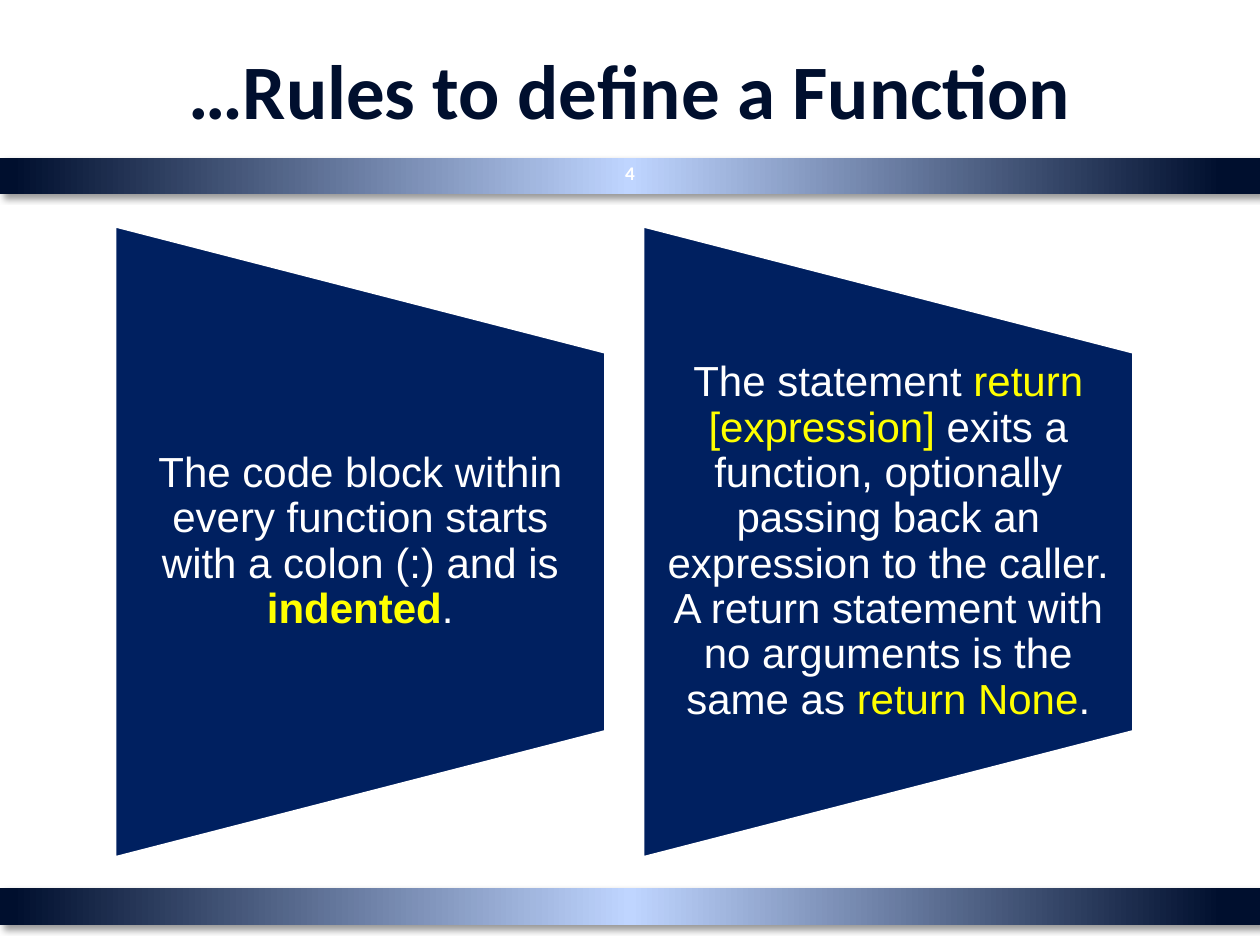
from lxml import etree
from pptx import Presentation
from pptx.dml.color import RGBColor
from pptx.enum.shapes import MSO_SHAPE as Shape
from pptx.enum.text import MSO_ANCHOR as Anchor, PP_ALIGN as Align
from pptx.oxml.ns import qn
from pptx.util import Pt

INK = RGBColor(0x00, 0x0F, 0x2E)
SKY = RGBColor(0xBF, 0xD5, 0xFF)
NAVY = RGBColor(0x00, 0x20, 0x60)
WHITE = RGBColor(0xFF, 0xFF, 0xFF)
YELLOW = RGBColor(0xFF, 0xFF, 0x00)
BLACK = RGBColor(0x00, 0x00, 0x00)


def write(frame, runs, font, size, color=WHITE, bold=False, inset=7.2,
          inset_v=3.6, line_spacing=None, space_after=None):
    """Fill a frame with one centred paragraph; runs are (text, format overrides)."""
    frame.word_wrap = True
    frame.vertical_anchor = Anchor.MIDDLE
    frame.margin_left = frame.margin_right = Pt(inset)
    frame.margin_top = frame.margin_bottom = Pt(inset_v)
    paragraph = frame.paragraphs[0]
    paragraph.alignment = Align.CENTER
    paragraph.line_spacing = line_spacing
    paragraph.space_after = space_after
    for text, changes in runs:
        run = paragraph.add_run()
        run.text = text
        run.font.name = font
        run.font.size = Pt(size)
        run.font.bold = changes.get("bold", bold)
        run.font.color.rgb = changes.get("color", color)


def add_color(parent, color, alpha=None):
    node = etree.SubElement(parent, qn("a:srgbClr"), val=str(color))
    if alpha is not None:
        etree.SubElement(node, qn("a:alpha"), val=str(alpha * 1000))


prs = Presentation()
prs.slide_width, prs.slide_height = Pt(720), Pt(540)
slide = prs.slides.add_slide(prs.slide_layouts[5])
shapes = slide.shapes

# Gradient bands under the title and at the foot
for top in (507.6, 90):
    band = shapes.add_shape(Shape.RECTANGLE, 0, Pt(top), Pt(720), Pt(20.9))
    band.line.fill.background()
    band.fill.gradient()
    band.fill.gradient_angle = 180
    stops = band.fill._fill._gradFill.find(qn("a:gsLst"))
    for stop in list(stops):
        stops.remove(stop)
    for percent, color in ((0, INK), (3, INK), (50, SKY), (99, INK), (100, INK)):
        add_color(etree.SubElement(stops, qn("a:gs"), pos=str(percent * 1000)), color)
    band.shadow.inherit = False
    effects = band._element.spPr.find(qn("a:effectLst"))
    shadow = etree.SubElement(effects, qn("a:outerShdw"), blurRad=str(Pt(4)),
                              dist=str(Pt(3)), dir=str(45 * 60000), rotWithShape="0")
    add_color(shadow, BLACK, alpha=40)

title = shapes.title
title.left, title.top, title.width, title.height = Pt(36), Pt(5.8), Pt(648), Pt(90)
write(title.text_frame, [("…Rules to define a Function", {})], "Calibri", 44,
      color=INK, bold=True)

page_number = shapes.add_textbox(Pt(344.9), Pt(84.2), Pt(30.2), Pt(28.8))
write(page_number.text_frame, [("4", {})], "Calibri", 11, bold=True)

# Two rules, each on a trapezoid turned to taper to the right
highlight = {"color": YELLOW}
rules = [
    [("The code block within every function starts with a colon (:) and is ", {}),
     ("indented", {"color": YELLOW, "bold": True}),
     (".", {})],
    [("The statement ", {}),
     ("return [expression] ", highlight),
     ("exits a function, optionally passing back an expression to the caller. "
      "A return statement with no arguments is the same as ", {}),
     ("return None", highlight),
     (".", {})],
]
PANEL_W, PANEL_H, TEXT_H = 280.8, 361.4, 216.7
FIRST_LEFT, PITCH, MIDDLE = 65.5, 301.7, 309.6
for index, rule in enumerate(rules):
    left = FIRST_LEFT + index * PITCH
    panel = shapes.add_shape(Shape.FLOWCHART_MANUAL_OPERATION,
                             Pt(left + (PANEL_W - PANEL_H) / 2),
                             Pt(MIDDLE - PANEL_W / 2), Pt(PANEL_H), Pt(PANEL_W))
    panel.rotation = 270
    panel.shadow.inherit = False
    panel.fill.solid()
    panel.fill.fore_color.rgb = NAVY
    panel.line.color.rgb = WHITE
    panel.line.width = Pt(2)

    rule_text = shapes.add_textbox(Pt(left), Pt(MIDDLE - TEXT_H / 2),
                                   Pt(PANEL_W), Pt(TEXT_H))
    write(rule_text.text_frame, rule, "Arial", 24, inset=12.2, inset_v=0,
          line_spacing=0.9, space_after=Pt(8.4))

prs.save("out.pptx")
